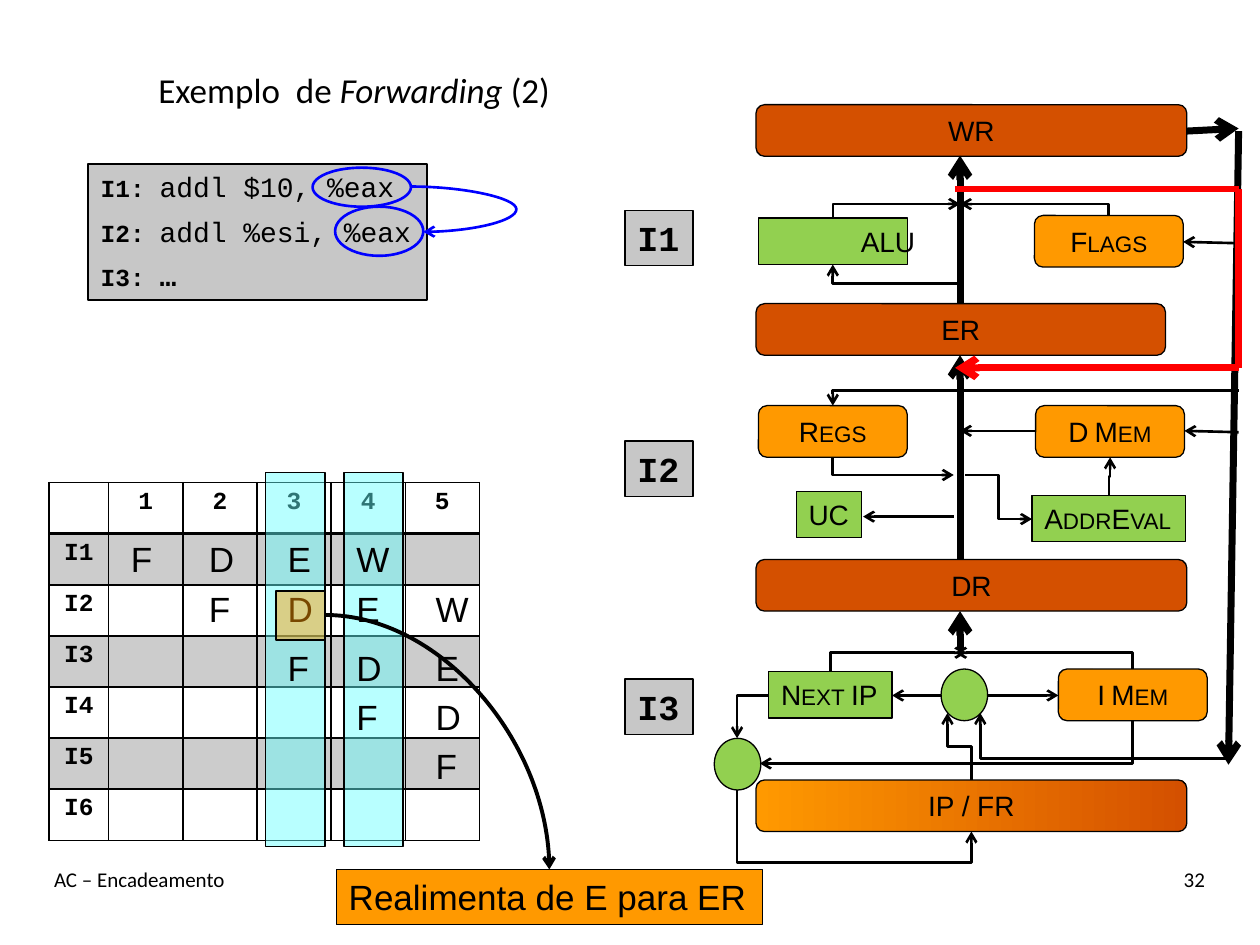
from lxml import etree
from pptx import Presentation
from pptx.dml.color import RGBColor
from pptx.enum.shapes import MSO_CONNECTOR, MSO_SHAPE
from pptx.enum.text import MSO_ANCHOR, PP_ALIGN
from pptx.oxml.ns import qn
from pptx.util import Pt

RECT, ROUND, OVAL = MSO_SHAPE.RECTANGLE, MSO_SHAPE.ROUNDED_RECTANGLE, MSO_SHAPE.OVAL
LEFT, CENTER, RIGHT = PP_ALIGN.LEFT, PP_ALIGN.CENTER, PP_ALIGN.RIGHT
TOP, MIDDLE = MSO_ANCHOR.TOP, MSO_ANCHOR.MIDDLE
STRAIGHT, ELBOW, CURVE = MSO_CONNECTOR.STRAIGHT, MSO_CONNECTOR.ELBOW, MSO_CONNECTOR.CURVE

C = {"black": "000000", "gray": "C7C7C7", "band": "CCCCCC", "cyan": "66FFFF", "blue": "0000FF",
     "orange": "FF9900", "rust": "D45000", "green": "92D050", "red": "FF0000"}
MONO, SANS, BODY = "Courier New", "Arial", "Calibri"

title = [("Exemplo  de ", False), ("Forwarding ", True), ("(2)", False)]
code = [("I1: ", "addl $10, %eax", False), ("I2: ", "addl %esi, %eax", False), ("I3: ", "…", True)]
cycles = ["1", "2", "3", "4", "5"]
instructions = ["I1", "I2", "I3", "I4", "I5", "I6"]
stages = "FDEW"
stage_lefts = [67.7, 112.3, 157.3, 196.6, 241.9]
stage_tops = [303.8, 331.9, 365.8, 393.8, 421.9]
stage_tags = [("I1", 120.2), ("I2", 252), ("I3", 388.1)]

TRUNK, BUS, WIDE, UNIT, TALL, LOW = 548.6, 707.8, 246.2, 85, 29.5, 26.6
blocks = [
    ("I Mem", ROUND, "orange", 604.8, 382.3, UNIT, TALL),
    ("Next IP", RECT, "green", 439.2, 383.8, 70.6, LOW),
    ("UC", RECT, "green", 455, 280.8, 37.4, LOW),
    ("D Mem", ROUND, "orange", 591.8, 231.8, UNIT, TALL),
    ("Regs", ROUND, "orange", 433.4, 231.8, UNIT, TALL),
    ("ALU", RECT, "green", 433.4, 124.6, UNIT, LOW),
    ("Flags", ROUND, "orange", 591.1, 123.1, UNIT, TALL),
    ("AddrEval", RECT, "green", 589.7, 283, 87.8, LOW),
    ("DR", ROUND, "rust", 432, 319.7, WIDE, TALL),
    ("ER", ROUND, "rust", 432, 173.5, 234, TALL),
    ("WR", ROUND, "rust", 432, 59.8, WIDE, TALL),
    ("IP / FR", ROUND, "rust", 432, 445.7, WIDE, TALL),
    ("", OVAL, "green", 537.8, 382.3, LOW, TALL),
    ("", OVAL, "green", 408.2, 421.9, LOW, TALL),
]
buses = [
    ((TRUNK, 371.5), (TRUNK, 349.2)), ((TRUNK, 319.7), (TRUNK, 203)),
    ((TRUNK, 173.5), (TRUNK, 88.9)), ((678.2, 74.9), (BUS, 73.4)), ((BUS, 74.9), (702, 437)),
]
wires = [
    ((563.8, 397.4), (604.8, 397.4)), ((537.8, 397.4), (509.8, 397.4)),
    ((545, 295.2), (493.2, 295.2)), ((591.8, 246.2), (TRUNK, 246.2)),
    ((BUS, 139), (676.1, 138.2)), ((BUS, 247), (676.8, 246.2)),
]
elbows = [
    ((474.5, 383.8), (552.2, 373), "v", None), ((647.3, 382.3), (545.8, 373), "v", None),
    ((475.9, 261.4), (545, 271.4), "v", None), ((TRUNK, 162), (475.9, 151.2), "h", None),
    ((475.9, 124.6), (TRUNK, 116.6), "v", None), ((633.6, 123.1), (TRUNK, 116.6), "v", None),
    ((BUS, 223.2), (475.9, 231.8), "h", None), ((702, 433.4), (560.2, 407.5), "h", None),
    ((439.2, 397.4), (421.2, 421.9), "h", None), ((555.1, 445.7), (541.4, 407.5), "v", 0.5),
    ((551.5, 271.4), (589.7, 296.6), "h", 0.5), ((633.6, 283), (634.3, 261.4), "v", 0.5),
    ((421.2, 451.4), (555.1, 475.2), "v", 1.75), ((647.3, 411.8), (434.2, 436.3), "v", None),
]
forward_path = [(545.8, 108), (BUS, 108), (BUS, 210.2), (545.8, 210.2)]

prs = Presentation()
prs.slide_width, prs.slide_height = Pt(720), Pt(540)
slide = prs.slides.add_slide(prs.slide_layouts[6])
shapes = slide.shapes


def rgb(name):
    return RGBColor.from_string(C[name])


def add_run(paragraph, text, size, font, bold=False, italic=False, small=False):
    run = paragraph.add_run()
    run.text = text
    run.font.size, run.font.name = Pt(size), font
    run.font.bold, run.font.italic = bold, italic
    run.font.color.rgb = rgb("black")
    if small:
        run.font._element.set("cap", "small")


def prepare(shape, align, anchor, wrap):
    frame = shape.text_frame
    frame.word_wrap, frame.vertical_anchor = wrap, anchor
    frame.paragraphs[0].alignment = align
    return frame.paragraphs[0]


def add_text(x, y, w, h, align=LEFT, anchor=TOP, wrap=True):
    return prepare(shapes.add_textbox(Pt(x), Pt(y), Pt(w), Pt(h)), align, anchor, wrap)


def add_box(kind, x, y, w, h, fill=None, alpha=None, line="black", width=0.75):
    box = shapes.add_shape(kind, Pt(x), Pt(y), Pt(w), Pt(h))
    box.shadow.inherit = False
    box.line.color.rgb, box.line.width = rgb(line), Pt(width)
    if fill is None:
        box.fill.background()
        return box
    box.fill.solid()
    box.fill.fore_color.rgb = rgb(fill)
    if alpha:
        color = box._element.spPr.find(qn("a:solidFill"))[0]
        etree.SubElement(color, qn("a:alpha")).set("val", str(alpha * 1000))
    return box


def connect(start, end, kind=STRAIGHT, first="h", bend=None, color="black", width=1.5, arrow=True):
    (x1, y1), (x2, y2) = start, end
    dx, dy = x2 - x1, y2 - y1
    if kind != STRAIGHT and first == "v":
        cx, cy, w, h = (x1 + x2) / 2, (y1 + y2) / 2, abs(dy), abs(dx)
        x1, y1, x2, y2 = cx - w / 2, cy - h / 2, cx + w / 2, cy + h / 2
    line = shapes.add_connector(kind, Pt(x1), Pt(y1), Pt(x2), Pt(y2))
    line.line.color.rgb, line.line.width = rgb(color), Pt(width)
    props = line._element.spPr
    if kind != STRAIGHT:
        if first == "v":
            xfrm = props.find(qn("a:xfrm"))
            xfrm.set("rot", "5400000")
            xfrm.set("flipH", str(int(dy < 0)))
            xfrm.set("flipV", str(int(dx > 0)))
        geometry = props.find(qn("a:prstGeom"))
        if bend is None:
            geometry.set("prst", geometry.get("prst").replace("3", "2"))
        else:
            guides = geometry.find(qn("a:avLst"))
            if guides is None:
                guides = etree.SubElement(geometry, qn("a:avLst"))
            guide = etree.SubElement(guides, qn("a:gd"))
            guide.set("name", "adj1")
            guide.set("fmla", f"val {round(bend * 100000)}")
    if arrow:
        etree.SubElement(props.find(qn("a:ln")), qn("a:tailEnd")).set("type", "arrow")
    etree.SubElement(props, qn("a:effectLst"))


def border(cell, side, width):
    edge = etree.SubElement(cell._tc.get_or_add_tcPr(), qn(f"a:{side}"))
    edge.set("w", str(Pt(width)))
    fill = etree.SubElement(edge, qn("a:solidFill"))
    etree.SubElement(fill, qn("a:srgbClr")).set("val", C["black"])


rows = [[""] + cycles] + [[name] + [""] * len(cycles) for name in instructions]
timeline = shapes.add_table(len(rows), len(rows[0]), Pt(28.1), Pt(275.8), Pt(246), Pt(204.4)).table
timeline.first_row = timeline.horz_banding = False
for c, column in enumerate(timeline.columns):
    column.width = Pt(42.4 if c else 34)
for r, labels in enumerate(rows):
    timeline.rows[r].height = Pt(29.2)
    for c, label in enumerate(labels):
        cell = timeline.cell(r, c)
        for side in ("lnL", "lnR", "lnT", "lnB"):
            heavy = (r, side) in ((0, "lnB"), (1, "lnT"))
            border(cell, side, 2 if heavy else 1)
        if r % 2:
            cell.fill.solid()
            cell.fill.fore_color.rgb = rgb("band")
        else:
            cell.fill.background()
        if label:
            cell.text_frame.paragraphs[0].alignment = CENTER
            add_run(cell.text_frame.paragraphs[0], label, 14, MONO, bold=True)

for x in (196.6, 151.9):
    add_box(RECT, x, 270, 33.8, 213.8, "cyan", 46)

heading = add_text(16.6, 18, 371.5, 66.2, CENTER, MIDDLE)
for text, italic in title:
    add_run(heading, text, 20, BODY, italic=italic)
add_run(add_text(23.8, 491.8, 504, 36), "AC – Encadeamento", 12, BODY)
add_run(add_text(599.8, 491.8, 95.8, 36, RIGHT), "32", 12, BODY)

listing = add_box(RECT, 50.4, 93.6, 193.7, 77.8, "gray", width=1.25)
line = prepare(listing, LEFT, TOP, False)
for i, (tag, instruction, bold) in enumerate(code):
    if i:
        line = listing.text_frame.add_paragraph()
    line.alignment, line.space_after = LEFT, Pt(6)
    add_run(line, tag, 14, MONO, bold=True)
    add_run(line, instruction, 16, MONO, bold=bold)

for i, top in enumerate(stage_tops):
    for stage, left in zip(stages, stage_lefts[i:]):
        add_run(add_text(left, top, 28.8, 31.7, wrap=False), stage, 20, SANS)

for tag, top in stage_tags:
    mark = add_box(RECT, 357.1, top, 38.9, 31.7, "gray")
    add_run(prepare(mark, LEFT, TOP, False), tag, 20, MONO, bold=True)

for oval in ((178.6, 95.8, 56.2, 22.3), (191.5, 118.1, 50.4, 28.1)):
    add_box(OVAL, *oval, line="blue", width=1.5)
connect((234.7, 106.6), (241.9, 132.5), CURVE, bend=8.39, color="blue")

add_box(RECT, 157.7, 337.7, 28.1, 28.1, "orange", 47, width=1.5)
callout = add_box(RECT, 192.2, 496.8, 243.4, 31.7, "orange")
add_run(prepare(callout, LEFT, TOP, False), "Realimenta de E para ER", 20, SANS)
connect((185.8, 351.4), (313.9, 496.8), CURVE, width=2.25)

for name, kind, color, x, y, w, h in blocks:
    block = add_box(kind, x, y, w, h, color)
    if name == "IP / FR":
        block.fill.gradient()
        block.fill.gradient_angle = 0
        for stop, shade, position in zip(block.fill.gradient_stops, ("orange", "rust"), (0, 1)):
            stop.color.rgb, stop.position = rgb(shade), position
    if name == "ALU":
        block.text_frame.margin_left = Pt(39)
    if name:
        fitted = name in ("Next IP", "UC", "AddrEval")
        label = prepare(block, LEFT if fitted else CENTER, TOP, not fitted)
        add_run(label, name, 16, SANS, small=w < 100)

for start, end in buses:
    connect(start, end, width=4)
for start, end in wires:
    connect(start, end)
for start, end, first, bend in elbows:
    connect(start, end, ELBOW, first, bend)
for start, end in zip(forward_path, forward_path[1:]):
    connect(start, end, color="red", width=4, arrow=end == forward_path[-1])

prs.save("out.pptx")
